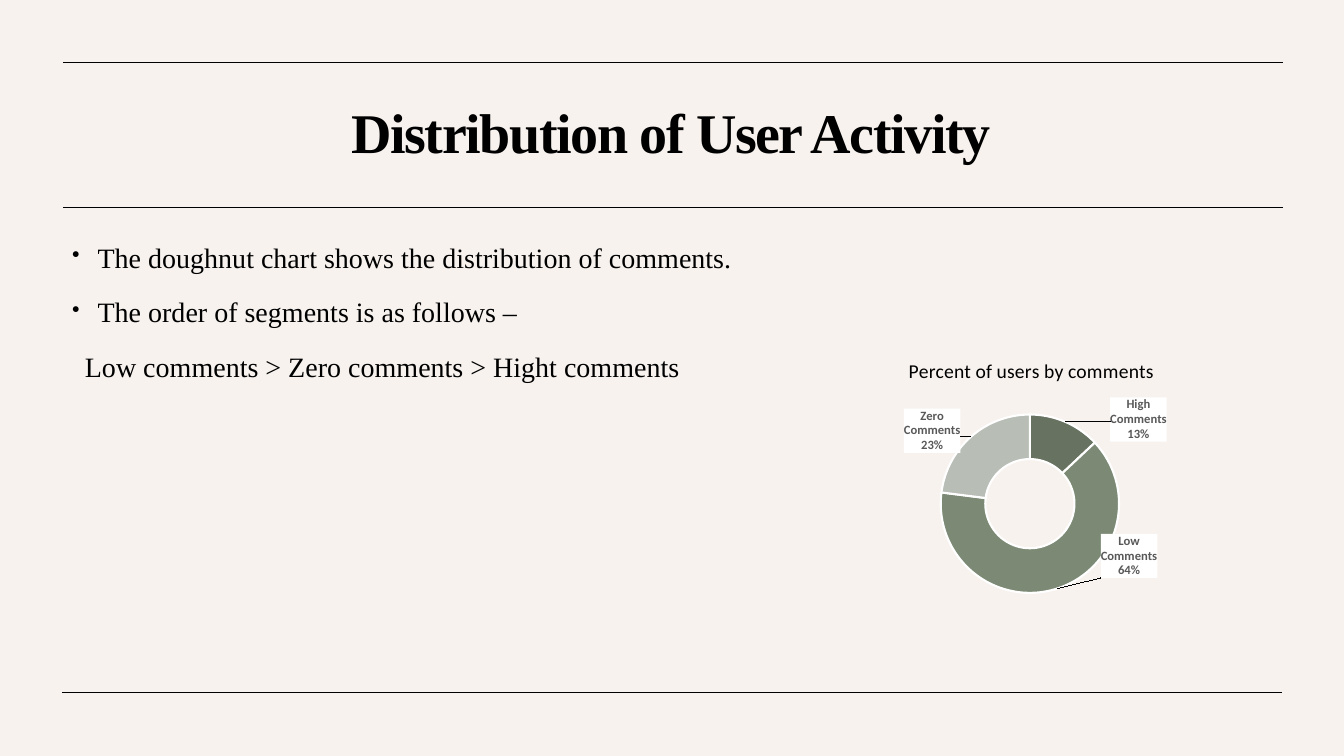
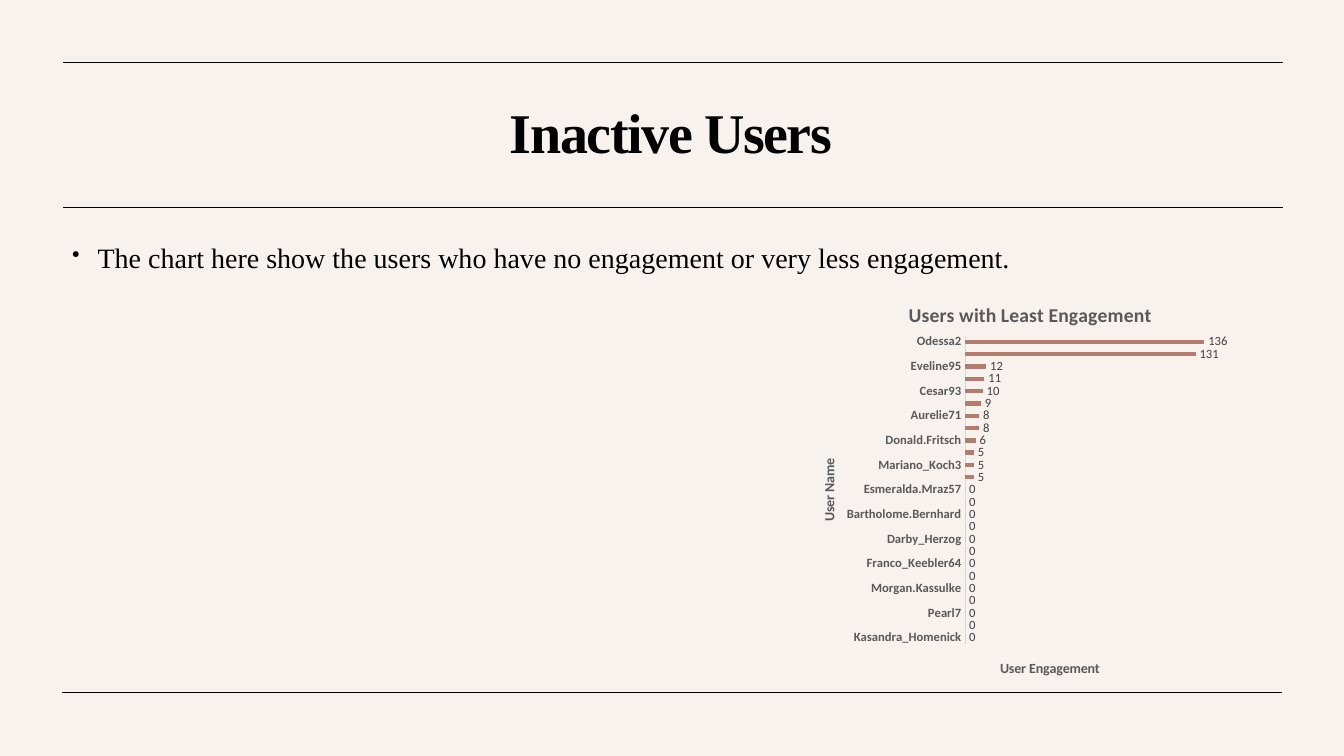
from copy import deepcopy

from pptx import Presentation
from pptx.chart.data import CategoryChartData as Data
from pptx.dml.color import RGBColor as RGB
from pptx.enum.chart import XL_CHART_TYPE as Kind, XL_LABEL_POSITION as Spot
from pptx.enum.chart import XL_TICK_MARK as Tick
from pptx.enum.shapes import MSO_CONNECTOR as Link
from pptx.enum.text import MSO_ANCHOR as Anchor, PP_ALIGN as Align
from pptx.oxml import parse_xml
from pptx.oxml.ns import nsdecls, qn
from pptx.util import Cm, Pt

COLORS = {
    "paper": "F7F2EE", "ink": "000000", "white": "FFFFFF",
    "gray": "595959", "dark": "404040", "rule": "D9D9D9",
    "moss": "677261", "sage": "7C8A75", "mist": "B8BEB6", "clay": "B57B6B",
}

# label, slice value, slice color, label shift
SLICES = [
    ("High Comments", 13, "moss", (0.23, -0.08)),
    ("Low Comments", 64, "sage", (0.22, -0.04)),
    ("Zero Comments", 23, "mist", (-0.15, -0.08)),
]

IDLE = [
    "Kasandra_Homenick", "Tierra.Trantow", "Pearl7", "David.Osinski47",
    "Morgan.Kassulke", "Linnea59", "Franco_Keebler64", "Hulda.Macejkovic",
    "Darby_Herzog", "Esther.Zulauf61", "Bartholome.Bernhard",
    "Jessyca_West", "Esmeralda.Mraz57",
]
USERS = {name: 0 for name in IDLE} | {
    "Kenton_Kirlin": 5, "Mariano_Koch3": 5, "Florence99": 5,
    "Donald.Fritsch": 6, "Jaime53": 8, "Aurelie71": 8,
    "Delfina_VonRueden68": 9, "Cesar93": 10, "Clint27": 11,
    "Eveline95": 12, "Granville_Kutch": 131, "Odessa2": 136,
}


def tint(name):
    return RGB.from_string(COLORS[name])


def style(font, size, color, bold=False, face="Calibri"):
    font.name, font.size, font.bold = face, Pt(size), bold
    font.color.rgb = tint(color)


def paint(fill, color):
    fill.solid()
    fill.fore_color.rgb = tint(color)


def place(node, x, y, size=None, index=1):
    """Give a chart part a manual layout, in fractions of the chart."""
    old = node.find(qn("c:layout"))
    if old is not None:
        index = node.index(old)
        node.remove(old)
    vals = []
    if size:
        vals.append(("layoutTarget", "inner"))
    if node.tag != qn("c:dLbl"):
        vals += [("xMode", "edge"), ("yMode", "edge")]
    vals += [("x", x), ("y", y)]
    if size:
        vals += [("w", size[0]), ("h", size[1])]
    body = "".join(f'<c:{key} val="{val}"/>' for key, val in vals)
    node.insert(index, parse_xml(
        f'<c:layout {nsdecls("c")}><c:manualLayout>{body}'
        '</c:manualLayout></c:layout>'))


def caption(title, text, size, color, bold, x, y):
    """Fill and place a chart title or an axis title."""
    title.text_frame.text = text
    style(title.text_frame.paragraphs[0].runs[0].font, size, color, bold)
    place(title._element, x, y)


class Deck:
    face = "Times New Roman"

    def __init__(self):
        self.prs = Presentation()
        self.prs.slide_width, self.prs.slide_height = Cm(33.87), Cm(19.05)
        self.slide = None

    def page(self, title, lines):
        self.slide = self.prs.slides.add_slide(self.prs.slide_layouts[6])
        paint(self.slide.background.fill, "paper")
        for left, y in ((1.6, 1.57), (1.6, 5.23), (1.57, 17.45)):
            self.rule(left, y)
        self.title(title)
        self.body(lines)

    def rule(self, left, y):
        line = self.slide.shapes.add_connector(
            Link.STRAIGHT, Cm(left), Cm(y), Cm(left + 30.73), Cm(y))
        line.line.color.rgb = tint("ink")
        line.line.width = Pt(0.5)
        line._element.spPr.append(
            parse_xml(f'<a:effectLst {nsdecls("a")}/>'))

    def frame(self, *box):
        frame = self.slide.shapes.add_textbox(*map(Cm, box)).text_frame
        frame.word_wrap = True
        return frame

    def title(self, text):
        frame = self.frame(1.57, 1.9, 30.68, 3.02)
        frame.vertical_anchor = Anchor.MIDDLE
        frame.text = text
        para = frame.paragraphs[0]
        para.alignment, para.line_spacing = Align.CENTER, 0.9
        run = para.runs[0]
        style(run.font, 40, "ink", True, self.face)
        run.font._element.set("spc", "-100")

    def body(self, lines):
        """Write (text, bulleted) lines."""
        frame = self.frame(1.57, 5.77, 30.73, 10.87)
        frame.text = "\n".join(text for text, _ in lines)
        for para, (_, dot) in zip(frame.paragraphs, lines):
            para.line_spacing, para.space_before = 1.2, Pt(10)
            style(para.runs[0].font, 20, "ink", face=self.face)
            props = para._element.get_or_add_pPr()
            props.set("marL", str(Cm(0.64 if dot else 0.32)))
            props.set("indent", str(-Cm(0.64) if dot else 0))
            marks = ('buSzPct val="80000"', 'buChar char="•"')
            for mark in marks if dot else ("buNone",):
                props.append(parse_xml(f'<a:{mark} {nsdecls("a")}/>'))

    def chart(self, kind, box, names, vals):
        data = Data()
        data.categories = names
        data.add_series("Series 1", vals)
        chart = self.slide.shapes.add_chart(
            kind, *map(Cm, box), data).chart
        style(chart.font, 10, "ink")
        chart.has_legend = False
        return chart

    def ring(self, box, title):
        names, vals, fills, shifts = zip(*SLICES)
        chart = self.chart(Kind.DOUGHNUT, box, names, vals)
        caption(chart.chart_title, title, 14, "ink", False, 0.15, 0.05)
        area = chart._chartSpace.find(".//" + qn("c:plotArea"))
        place(area, 0.25, 0.26, (0.5, 0.63), 0)
        area.find(".//" + qn("c:holeSize")).set("val", "75")
        chart.plots[0].vary_by_categories = True
        series = chart.plots[0].series[0]
        for i, fill in enumerate(fills):
            shape = series.points[i].format
            paint(shape.fill, fill)
            shape.line.color.rgb = tint("white")
            shape.line.width = Pt(1.5)
        labels = series.data_labels
        style(labels.font, 9, "gray", True)
        labels.show_value = False
        labels.show_category_name = labels.show_percentage = True
        self.tags(labels._element, shifts)

    def tags(self, group, shifts):
        """Add a white, shifted label for each slice."""
        look = group.find(qn("c:txPr"))
        flags = {"LegendKey": 0, "Val": 0, "CatName": 1,
                 "SerName": 0, "Percent": 1, "BubbleSize": 0}
        shows = "".join(
            f'<c:show{key} val="{val}"/>' for key, val in flags.items())
        for i, shift in enumerate(shifts):
            tag = parse_xml(
                f'<c:dLbl {nsdecls("c", "a")}><c:idx val="{i}"/>'
                f'<c:spPr><a:solidFill><a:srgbClr val="{COLORS["white"]}"/>'
                f'</a:solidFill></c:spPr>{shows}'
                '<c:separator>\n</c:separator></c:dLbl>')
            tag.insert(2, deepcopy(look))
            place(tag, *shift)
            group.insert(i, tag)

    def bars(self, box, title, side, foot):
        chart = self.chart(
            Kind.BAR_CLUSTERED, box, list(USERS), list(USERS.values()))
        caption(chart.chart_title, title, 14, "gray", True, 0.24, 0.05)
        area = chart._chartSpace.find(".//" + qn("c:plotArea"))
        place(area, 0.37, 0.14, (0.61, 0.74), 0)
        cats, nums = chart.category_axis, chart.value_axis
        caption(cats.axis_title, side, 10, "gray", True, 0.05, 0.43)
        caption(nums.axis_title, foot, 10, "gray", True, 0.44, 0.91)
        cats.major_tick_mark = cats.minor_tick_mark = Tick.NONE
        style(cats.tick_labels.font, 9, "gray", True)
        cats.format.line.color.rgb = tint("rule")
        cats.format.line.width = Pt(0.75)
        nums.has_major_gridlines = False
        nums.minimum_scale, nums.maximum_scale = 0, 160
        nums.visible = False
        plot = chart.plots[0]
        plot.gap_width, plot.vary_by_categories = 182, False
        series = plot.series[0]
        paint(series.format.fill, "clay")
        labels = series.data_labels
        style(labels.font, 9, "dark")
        labels.show_value, labels.position = True, Spot.OUTSIDE_END


def main():
    deck = Deck()
    deck.page("Distribution of User Activity", [
        ("The doughnut chart shows the distribution of comments.", True),
        ("The order of segments is as follows –", True),
        ("Low comments > Zero comments > Hight comments", False),
    ])
    deck.ring((21.46, 8.56, 8.99, 7.19), "Percent of users by comments")
    deck.page("Inactive Users", [
        ("The chart here show the users who have no engagement "
         "or very less engagement.", True),
    ])
    deck.bars((20.02, 6.99, 11.63, 10.49), "Users with Least Engagement",
              "User Name", "User Engagement")
    deck.prs.save("out.pptx")


if __name__ == "__main__":
    main()
